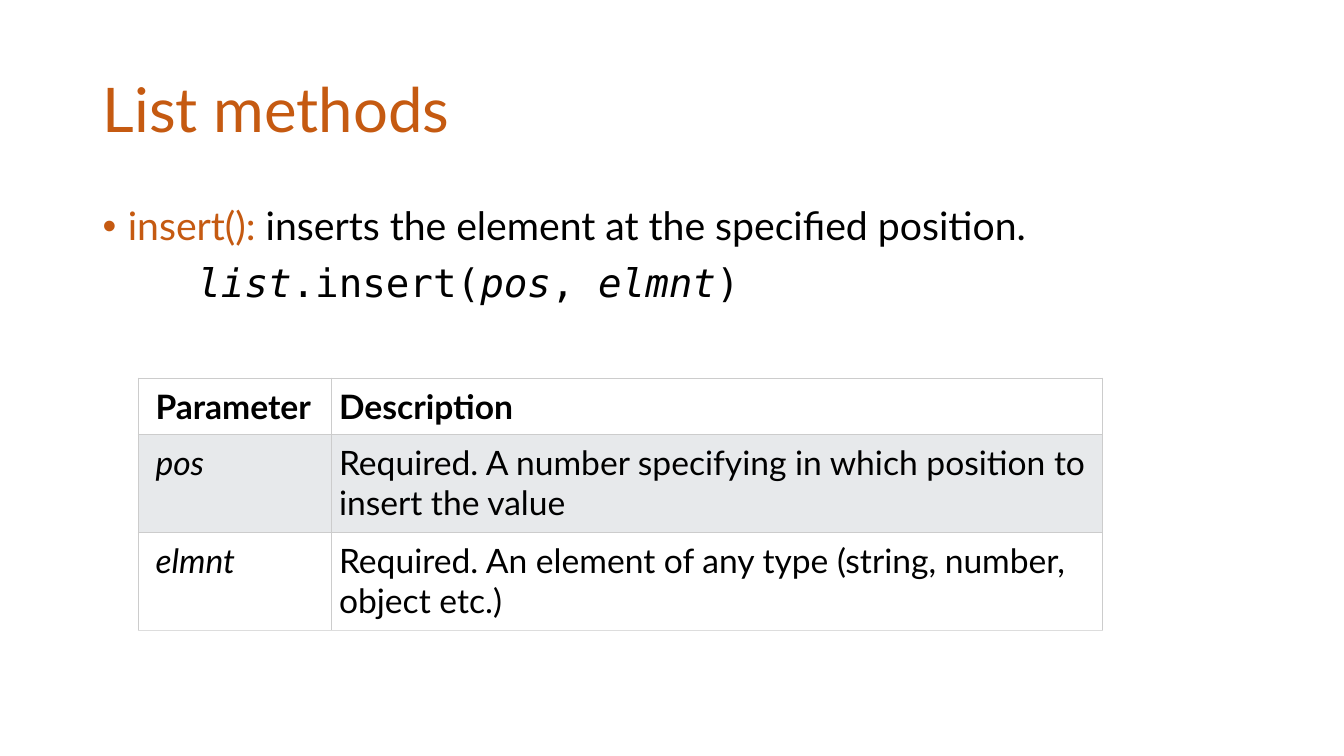
from lxml.etree import SubElement
from pptx import Presentation
from pptx.dml.color import RGBColor
from pptx.enum.text import MSO_ANCHOR, PP_ALIGN
from pptx.oxml.ns import qn
from pptx.util import Inches, Pt

WIDTH, HEIGHT = Inches(13.33), Inches(7.5)
LEFT, CONTENT_WIDTH = 0.069, 0.863
SANS, MONO = "Lato", "DejaVu Sans Mono"
ORANGE = RGBColor(0xC5, 0x5A, 0x11)
BLACK = RGBColor(0, 0, 0)
WHITE = RGBColor(0xFF, 0xFF, 0xFF)
STRIPE = RGBColor(0xE7, 0xE9, 0xEB)
BORDER = RGBColor(0xCC, 0xCC, 0xCC)
BOTTOM_BORDER = RGBColor(0xDD, 0xDD, 0xDD)

COLUMN_WIDTHS = (1.91, 7.65)
ROW_HEIGHTS = (0.56, 0.97, 0.97)
PARAMETERS = (
    ("Parameter", "Description"),
    ("pos", "Required. A number specifying in which position to insert the value"),
    ("elmnt", "Required. An element of any type (string, number, object etc.)"),
)


def place(left, top, width, height):
    return (round(left * WIDTH), round(top * HEIGHT),
            round(width * WIDTH), round(height * HEIGHT))


def add_span(para, text, size, color=BLACK, font=SANS, bold=False, italic=False):
    span = para.add_run()
    span.text = text
    span.font.name = font
    span.font.size = Pt(size)
    span.font.bold = bold
    span.font.italic = italic
    span.font.color.rgb = color


def set_indent(para, margin, first_line=0, bullet=None):
    properties = para._p.get_or_add_pPr()
    properties.set("marL", str(Inches(margin)))
    properties.set("indent", str(Inches(first_line)))
    if bullet:
        SubElement(properties, qn("a:buFont"), typeface="Arial")
        SubElement(properties, qn("a:buChar"), char=bullet)


def add_title(page, text):
    title = page.shapes.title
    title.left, title.top, title.width, title.height = place(
        LEFT, 0.053, CONTENT_WIDTH, 0.193)
    title.text_frame.vertical_anchor = MSO_ANCHOR.MIDDLE
    para = title.text_frame.paragraphs[0]
    para.alignment = PP_ALIGN.LEFT
    para.line_spacing = 0.9
    add_span(para, text, 44, ORANGE)


def add_method(page, name, meaning, signature):
    box = page.shapes.add_textbox(*place(LEFT, 0.267, CONTENT_WIDTH, 0.2))
    frame = box.text_frame
    frame.word_wrap = True
    summary, code = frame.paragraphs[0], frame.add_paragraph()
    set_indent(summary, 0.25, -0.25, "•")
    set_indent(code, 0.94)
    summary.line_spacing = code.line_spacing = 0.9
    code.space_before = Pt(10)
    add_span(summary, name, 28, ORANGE)
    add_span(summary, meaning, 28)
    for text, italic in signature:
        add_span(code, text, 28, font=MONO, italic=italic)


def set_borders(cell, bottom_color):
    properties = cell._tc.get_or_add_tcPr()
    for side in "LRTB":
        line = SubElement(properties, qn(f"a:ln{side}"), w=str(Pt(0.75)))
        fill = SubElement(line, qn("a:solidFill"))
        color = bottom_color if side == "B" else BORDER
        SubElement(fill, qn("a:srgbClr"), val=str(color))


def add_parameter_table(page):
    table = page.shapes.add_table(
        len(ROW_HEIGHTS), len(COLUMN_WIDTHS),
        *place(0.103, 0.5, 0.717, 0.333)).table
    for column, width in zip(table.columns, COLUMN_WIDTHS):
        column.width = Inches(width)
    for row, height in zip(table.rows, ROW_HEIGHTS):
        row.height = Inches(height)
    last_row = len(PARAMETERS) - 1
    for row, texts in enumerate(PARAMETERS):
        for column, text in enumerate(texts):
            cell = table.cell(row, column)
            cell.margin_left = Inches(0.17 if column == 0 else 0.08)
            cell.margin_top = cell.margin_right = cell.margin_bottom = Inches(0.08)
            set_borders(cell, BOTTOM_BORDER if row == last_row else BORDER)
            cell.fill.solid()
            cell.fill.fore_color.rgb = STRIPE if row % 2 else WHITE
            add_span(cell.text_frame.paragraphs[0], text, 24,
                     bold=row == 0, italic=row > 0 and column == 0)


def main():
    deck = Presentation()
    deck.slide_width, deck.slide_height = WIDTH, HEIGHT
    page = deck.slides.add_slide(deck.slide_layouts[5])
    add_title(page, "List methods")
    add_method(
        page, "insert(): ", "inserts the element at the specified position.",
        (("list", True), (".insert(", False), ("pos", True),
         (", ", False), ("elmnt", True), (")", False)))
    add_parameter_table(page)
    deck.save("out.pptx")


if __name__ == "__main__":
    main()
